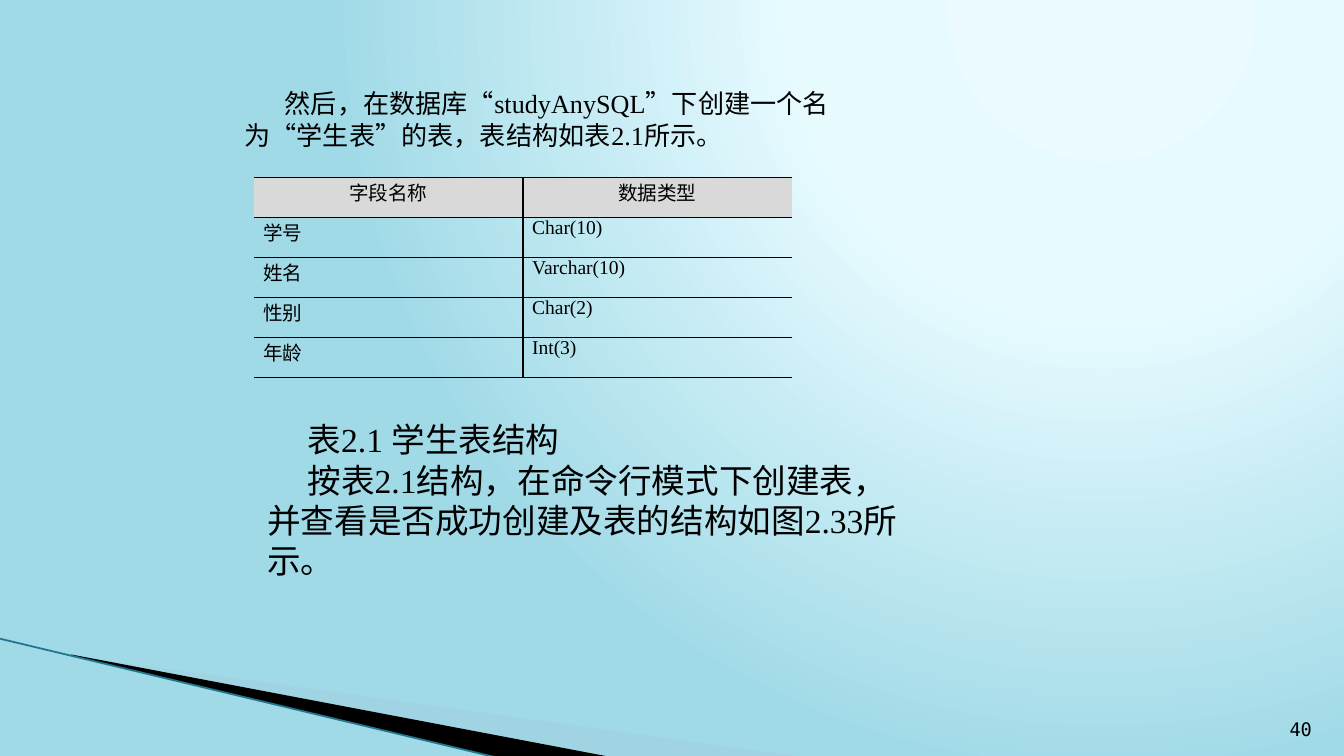
from pptx import Presentation
from pptx.dml.color import RGBColor
from pptx.enum.shapes import MSO_CONNECTOR
from pptx.enum.text import MSO_ANCHOR, PP_ALIGN
from pptx.oxml import parse_xml
from pptx.oxml.ns import nsdecls, qn
from pptx.util import Inches, Pt
from lxml import etree

BLACK = RGBColor(0x00, 0x00, 0x00)
HEADER_GRAY = RGBColor(0xD9, 0xD9, 0xD9)
PALE_BLUE = RGBColor(0xA0, 0xCB, 0xDC)
TEAL = RGBColor(0x1F, 0x78, 0x90)
GRADIENT_STOPS = [
    (0, RGBColor(0xEB, 0xFB, 0xFF)),
    (40, RGBColor(0xE7, 0xFB, 0xFF)),
    (100, RGBColor(0xA1, 0xDA, 0xE7)),
]
SERIF = "Times New Roman"
CHINESE = "Noto Sans CJK SC"
MONO = "DejaVu Sans Mono"
STRAIGHT = MSO_CONNECTOR.STRAIGHT
TOP, MIDDLE, BOTTOM = MSO_ANCHOR.TOP, MSO_ANCHOR.MIDDLE, MSO_ANCHOR.BOTTOM
LEFT, CENTER = PP_ALIGN.LEFT, PP_ALIGN.CENTER
RIGHT, JUSTIFY = PP_ALIGN.RIGHT, PP_ALIGN.JUSTIFY

FIELDS = [
    ("字段名称", "数据类型"),
    ("学号", "Char(10)"),
    ("姓名", "Varchar(10)"),
    ("性别", "Char(2)"),
    ("年龄", "Int(3)"),
]
INTRO = ["然后，在数据库“studyAnySQL”下创建一个名为“学生表”的表，表结构如表2.1所示。"]
CAPTION = [
    "表2.1 学生表结构",
    "按表2.1结构，在命令行模式下创建表，并查看是否成功创建及表的结构如图2.33所示。",
]


def set_background(slide):
    """Radial gradient that spreads from the upper right."""
    slide.background.fill.gradient()
    old = slide.background._cSld.find(".//" + qn("a:gradFill"))
    stops = "".join(
        f'<a:gs pos="{place * 1000}"><a:srgbClr val="{color}"/></a:gs>'
        for place, color in GRADIENT_STOPS
    )
    gradient = parse_xml(
        f'<a:gradFill {nsdecls("a")} rotWithShape="1"><a:gsLst>{stops}</a:gsLst>'
        '<a:path path="circle"><a:fillToRect l="65000" t="0" r="0" b="98000"/>'
        "</a:path></a:gradFill>"
    )
    old.getparent().replace(old, gradient)


def add_wedge(slide, points, color, opacity=100):
    corners = [(Inches(x), Inches(y)) for x, y in points]
    builder = slide.shapes.build_freeform(*corners[0])
    builder.add_line_segments(corners[1:], close=True)
    wedge = builder.convert_to_shape()
    wedge.shadow.inherit = False
    wedge.fill.solid()
    wedge.fill.fore_color.rgb = color
    wedge.line.fill.background()
    if opacity < 100:
        tint = wedge.fill._xPr.find(".//" + qn("a:srgbClr"))
        etree.SubElement(tint, qn("a:alpha")).set("val", str(opacity * 1000))


def add_line(slide, start, end, color, width):
    line = slide.shapes.add_connector(STRAIGHT, *map(Inches, start + end))
    line.line.color.rgb = color
    line.line.width = Pt(width)
    etree.SubElement(line._element.spPr, qn("a:effectLst"))


def write(frame, lines, size, font=SERIF, align=LEFT, anchor=TOP, indent=0):
    frame.word_wrap = True
    frame.vertical_anchor = anchor
    for number, text in enumerate(lines):
        para = frame.add_paragraph() if number else frame.paragraphs[0]
        para.alignment = align
        if indent:
            para._p.get_or_add_pPr().set("indent", str(Inches(indent)))
        span = para.add_run()
        span.text = text
        span.font.size = Pt(size)
        span.font.name = font
        span.font.color.rgb = BLACK
        east_asian = etree.SubElement(span._r.get_or_add_rPr(), qn("a:ea"))
        east_asian.set("typeface", CHINESE)


def add_text(slide, place, lines, size, **text_format):
    box = slide.shapes.add_textbox(*map(Inches, place))
    write(box.text_frame, lines, size, **text_format)


def set_borders(cell, visible):
    """Draw the sides named in visible (L, R, T, B) and hide the others."""
    properties = cell._tc.get_or_add_tcPr()
    for position, side in enumerate("LRTB"):
        if side in visible:
            fill = f'<a:solidFill><a:srgbClr val="{BLACK}"/></a:solidFill>'
        else:
            fill = "<a:noFill/>"
        border = parse_xml(
            f'<a:ln{side} {nsdecls("a")} w="{Pt(1)}">{fill}</a:ln{side}>'
        )
        properties.insert(position, border)


def add_field_table(slide):
    frame = slide.shapes.add_table(
        len(FIELDS), 2, Inches(1.89), Inches(1.32), Inches(4), Inches(1.49)
    )
    table = frame.table
    for row_number, values in enumerate(FIELDS):
        is_header = row_number == 0
        for column, value in enumerate(values):
            cell = table.cell(row_number, column)
            cell.margin_left = cell.margin_right = Inches(0.07)
            cell.margin_top = cell.margin_bottom = 0
            write(cell.text_frame, [value], 10.5,
                  align=CENTER if is_header else JUSTIFY)
            if is_header:
                cell.fill.solid()
                cell.fill.fore_color.rgb = HEADER_GRAY
            else:
                cell.fill.background()
            set_borders(cell, "LTB" if column else "RTB")


def main():
    deck = Presentation()
    deck.slide_width = Inches(10)
    deck.slide_height = deck.slide_width * 9 // 16
    slide = deck.slides.add_slide(deck.slide_layouts[6])
    set_background(slide)

    add_wedge(slide, [(0.55, 4.88), (5.95, 5.63), (4.56, 5.63)],
              PALE_BLUE, opacity=40)
    add_wedge(slide, [(0.53, 4.87), (4.53, 5.63), (3.72, 5.64), (0.54, 4.88)],
              BLACK)
    add_line(slide, (-0.01, 4.75), (3.71, 5.64), TEAL, 0.95)

    add_text(slide, (9.46, 5.26, 0.4, 0.3), ["40"], 10,
             font=MONO, align=RIGHT, anchor=BOTTOM)
    add_field_table(slide)
    add_text(slide, (1.72, 0.6, 4.77, 0.57), INTRO, 14,
             anchor=MIDDLE, indent=0.3)
    add_text(slide, (1.89, 3.07, 5, 1.31), CAPTION, 18, indent=0.3)
    deck.save("out.pptx")


if __name__ == "__main__":
    main()
